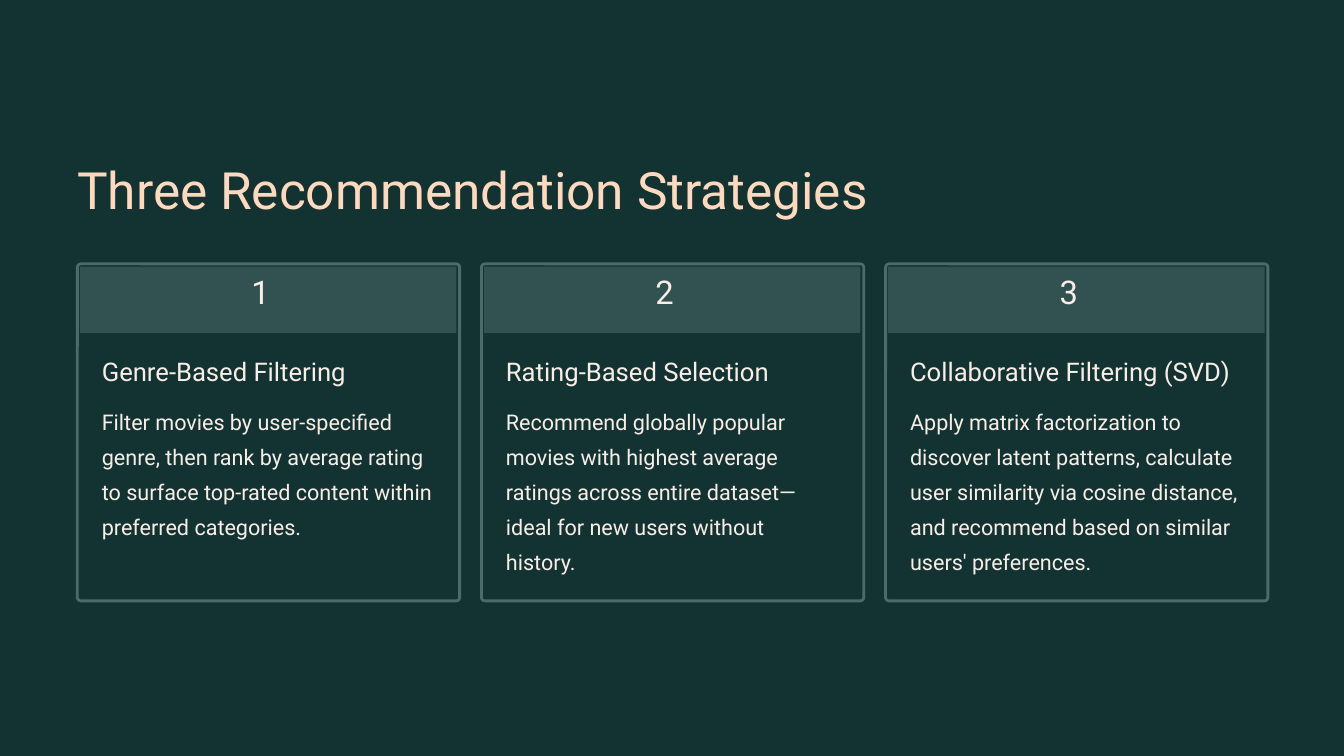
import dataclasses

import pptx
import pptx.dml.color
import pptx.enum.shapes
import pptx.util

Cm = pptx.util.Cm
Pt = pptx.util.Pt
Rgb = pptx.dml.color.RGBColor.from_string
Kind = pptx.enum.shapes.MSO_SHAPE


@dataclasses.dataclass(frozen=True)
class Theme:
    font: str = "Roboto"
    back: str = "123332"
    band: str = "315251"
    edge: str = "4A6B6A"
    peach: str = "FFD9BE"
    cream: str = "F9EEE7"
    title: tuple = (44, 55)
    digit: tuple = (28, 28)
    head: tuple = (22, 27.5)
    body: tuple = (18.5, 30)


THEME = Theme()
LEFT, TOP, STEP = 2.34, 7.98, 12.22
CARDS = [
    ("Genre-Based Filtering", 7.82,
     "Filter movies by user-specified genre, then rank by average rating "
     "to surface top-rated content within preferred categories."),
    ("Rating-Based Selection", 8.1,
     "Recommend globally popular movies with highest average ratings "
     "across entire dataset—ideal for new users without history."),
    ("Collaborative Filtering (SVD)", 9.91,
     "Apply matrix factorization to discover latent patterns, calculate "
     "user similarity via cosine distance, and recommend based on "
     "similar users' preferences."),
]


def add_text(slide, box, text, style, color=THEME.cream, wrap=False):
    """Add a text box without margins, in a (size, line spacing) style."""
    frame = slide.shapes.add_textbox(*map(Cm, box)).text_frame
    frame.margin_left = frame.margin_right = 0
    frame.margin_top = frame.margin_bottom = 0
    frame.word_wrap = wrap
    frame.text = text
    line = frame.paragraphs[0]
    size, space = style
    line.line_spacing = Pt(space)
    font = line.runs[0].font
    font.name = THEME.font
    font.size = Pt(size)
    font.color.rgb = Rgb(color)


def add_block(slide, kind, box, fill):
    """Add a filled shape with no outline and no shadow."""
    shape = slide.shapes.add_shape(kind, *map(Cm, box))
    shape.shadow.inherit = False
    shape.fill.solid()
    shape.fill.fore_color.rgb = Rgb(fill)
    shape.line.fill.background()
    return shape


def add_card(slide, left, digit, head, width, body):
    """Add one numbered strategy card."""
    frame = add_block(slide, Kind.ROUNDED_RECTANGLE,
                      (left, TOP, 11.56, 10.19), THEME.back)
    frame.adjustments[0] = 0.01
    frame.line.color.rgb = Rgb(THEME.edge)
    frame.line.width = Pt(2.4)
    add_block(slide, Kind.RECTANGLE,
              (left + 0.08, TOP + 0.08, 11.38, 2.01), THEME.band)
    add_text(slide, (left + 5.26, TOP + 0.45, 0.99, 1.24),
             str(digit), THEME.digit)
    inner = left + 0.74
    add_text(slide, (inner, TOP + 2.74, width, 0.97), head, THEME.head)
    add_text(slide, (inner, TOP + 4.11, 10.06, 5.31), body, THEME.body,
             wrap=True)


def main():
    """Build the slide and save it."""
    deck = pptx.Presentation()
    deck.slide_width, deck.slide_height = Cm(40.64), Cm(22.86)
    slide = deck.slides.add_slide(deck.slide_layouts[6])
    slide.background.fill.solid()
    slide.background.fill.fore_color.rgb = Rgb(THEME.back)
    add_text(slide, (LEFT, 4.7, 24.38, 1.96),
             "Three Recommendation Strategies", THEME.title, THEME.peach)
    for index, card in enumerate(CARDS):
        add_card(slide, LEFT + index * STEP, index + 1, *card)
    deck.save("out.pptx")


if __name__ == "__main__":
    main()
